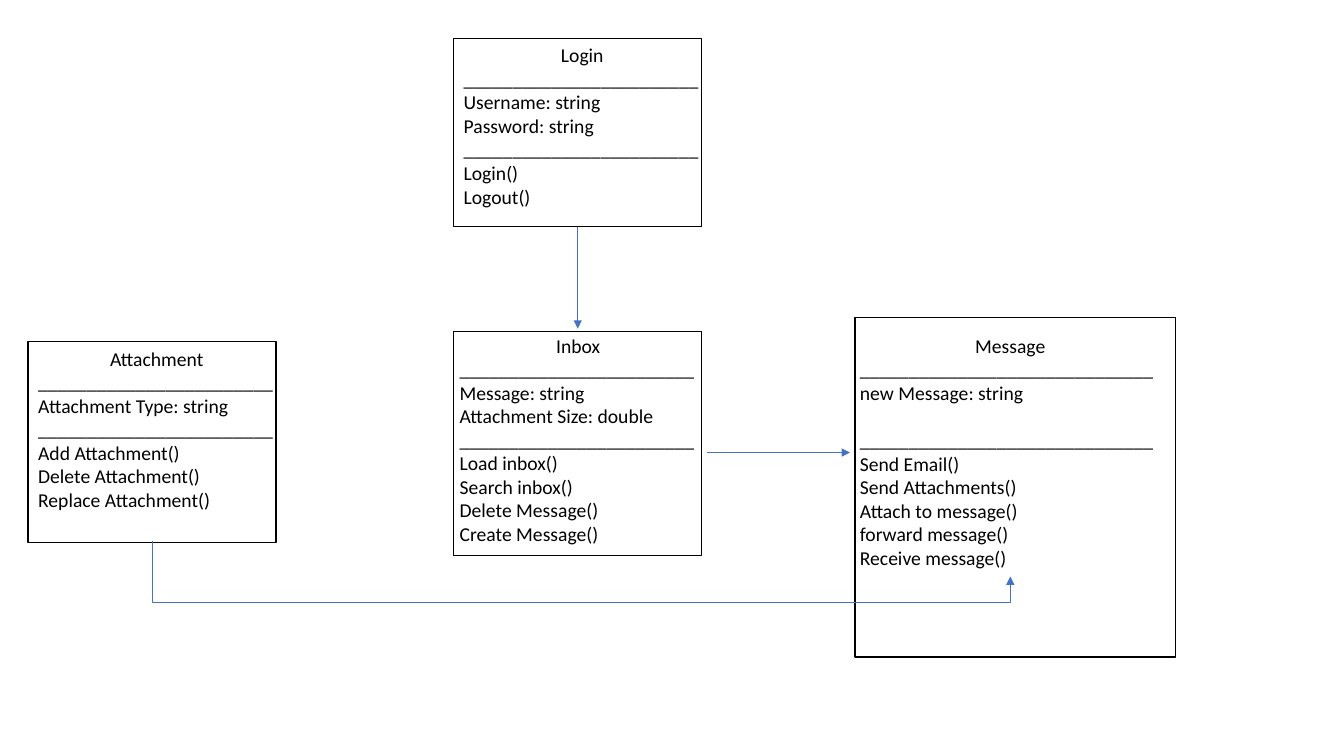
from lxml import etree
from pptx import Presentation
from pptx.dml.color import RGBColor
from pptx.enum.shapes import MSO_CONNECTOR, MSO_SHAPE
from pptx.enum.text import MSO_AUTO_SIZE, PP_ALIGN
from pptx.oxml.ns import qn
from pptx.util import Inches, Pt

RECT = MSO_SHAPE.RECTANGLE
STRAIGHT, ELBOW = MSO_CONNECTOR.STRAIGHT, MSO_CONNECTOR.ELBOW
CENTER, LEFT = PP_ALIGN.CENTER, PP_ALIGN.LEFT
FIT_SHAPE = MSO_AUTO_SIZE.SHAPE_TO_FIT_TEXT

# box, text area, characters per rule, name, fields, space after fields, methods
CLASSES = [
    ((4.5, 0.38, 2.46, 1.87), (4.5, 0.38, 2.55, 1.75), 24, "Login",
     ["Username: string", "Password: string"], 0,
     ["Login()", "Logout()"]),
    ((4.5, 3.29, 2.46, 2.22), (4.46, 3.26, 2.55, 2.46), 24, "Inbox",
     ["Message: string", "Attachment Size: double"], 0,
     ["Load inbox()", "Search inbox()", "Delete Message()", "Create Message()"]),
    ((8.48, 3.15, 3.18, 3.37), (8.43, 3.26, 3.18, 2.46), 30, "Message",
     ["new Message: string"], 17,
     ["Send Email()", "Send Attachments()", "Attach to message()",
      "forward message()", "Receive message()"]),
    ((0.28, 3.39, 2.46, 1.99), (0.28, 3.39, 2.55, 1.75), 24, "Attachment",
     ["Attachment Type: string"], 0,
     ["Add Attachment()", "Delete Attachment()", "Replace Attachment()"]),
]


def rgb(hex_color):
    return RGBColor.from_string(hex_color)


class ClassDiagram:
    font, size = "Calibri", 14
    ink, paper, accent = "000000", "FFFFFF", "4472C4"

    def __init__(self, s):
        self.s = s

    def box(self, area):
        sp = self.s.shapes.add_shape(RECT, *map(Inches, area))
        sp.shadow.inherit = False
        sp.fill.solid()
        sp.fill.fore_color.rgb = rgb(self.paper)
        sp.line.color.rgb = rgb(self.ink)
        sp.line.width = Pt(1)

    def text(self, area, lines):
        """Write the lines with the first one centred; return the paragraphs."""
        tf = self.s.shapes.add_textbox(*map(Inches, area)).text_frame
        tf.word_wrap = True
        tf.auto_size = FIT_SHAPE
        tf.text = "\n".join(lines)
        for i, p in enumerate(tf.paragraphs):
            p.alignment = LEFT if i else CENTER
            for r in p.runs:
                r.font.name = self.font
                r.font.size = Pt(self.size)
                r.font.color.rgb = rgb(self.ink)
        return tf.paragraphs

    def class_box(self, box, area, rule_length, name, fields, gap, methods):
        self.box(box)
        rule = "_" * rule_length
        paragraphs = self.text(area, [name, rule, *fields, rule, *methods])
        if gap:
            paragraphs[1 + len(fields)].space_after = Pt(gap)

    def arrow(self, x1, y1, x2, y2, kind=STRAIGHT):
        cxn = self.s.shapes.add_connector(kind, *map(Inches, (x1, y1, x2, y2)))
        cxn.line.color.rgb = rgb(self.accent)
        cxn.line.width = Pt(0.5)
        ln = cxn.line._get_or_add_ln()
        etree.SubElement(ln, qn("a:tailEnd"), type="triangle")
        etree.SubElement(cxn._element.spPr, qn("a:effectLst"))
        return cxn

    def arrow_below(self, x1, y1, x2, y2, bend):
        """Route down, across and up; bend is the depth as a multiple of y2 - y1."""
        cx, cy = (x1 + x2) / 2, (y1 + y2) / 2
        dx, dy = (x2 - x1) / 2, (y2 - y1) / 2
        cxn = self.arrow(cx + dy, cy - dx, cx - dy, cy + dx, ELBOW)
        sp_pr = cxn._element.spPr
        sp_pr.find(qn("a:xfrm")).set("rot", str(270 * 60000))
        guides = sp_pr.find(qn("a:prstGeom")).find(qn("a:avLst"))
        etree.SubElement(guides, qn("a:gd"), name="adj1",
                         fmla=f"val {round(bend * 100000)}")


def main():
    prs = Presentation()
    prs.slide_width, prs.slide_height = Inches(13.33), Inches(7.5)
    diagram = ClassDiagram(prs.slides.add_slide(prs.slide_layouts[6]))
    for entry in CLASSES:
        diagram.class_box(*entry)
    diagram.arrow(5.73, 2.25, 5.73, 3.26)
    diagram.arrow(7.01, 4.49, 8.43, 4.49)
    diagram.arrow_below(1.51, 5.37, 10.02, 5.72, 1.72)
    prs.save("out.pptx")


if __name__ == "__main__":
    main()
